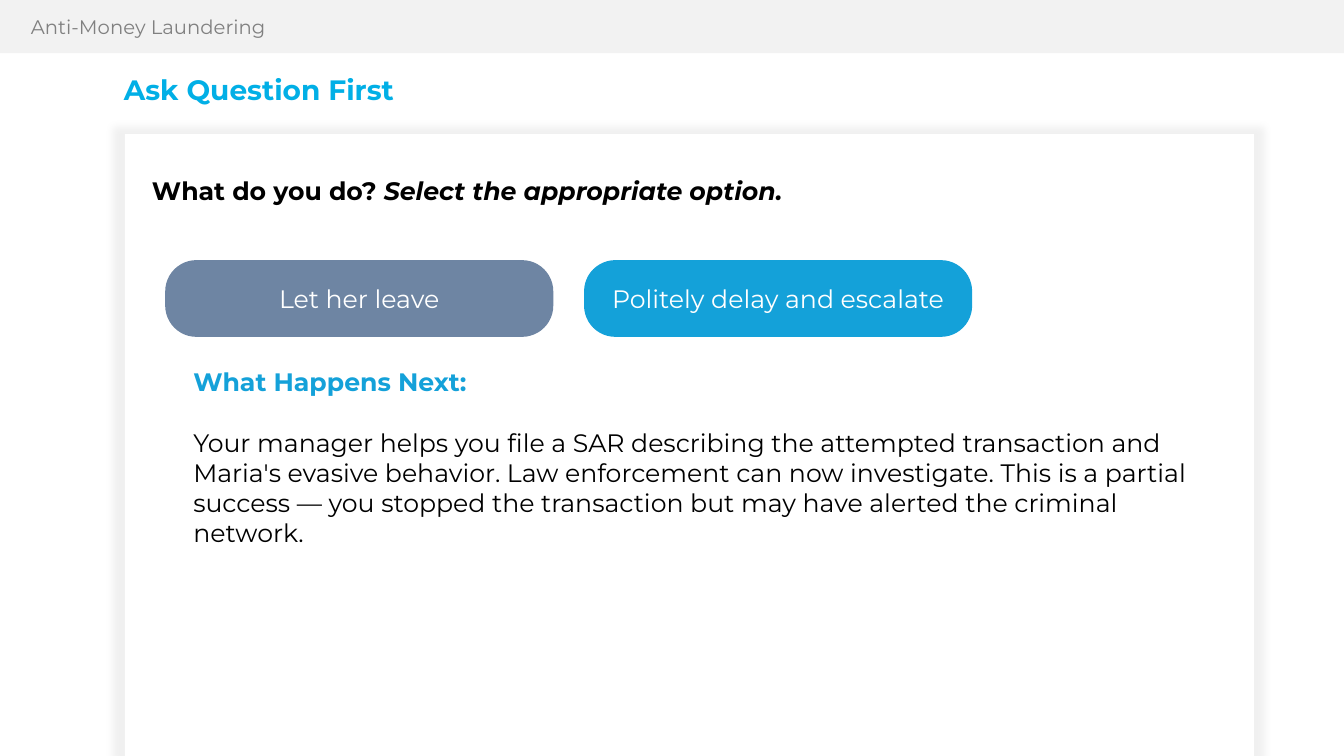
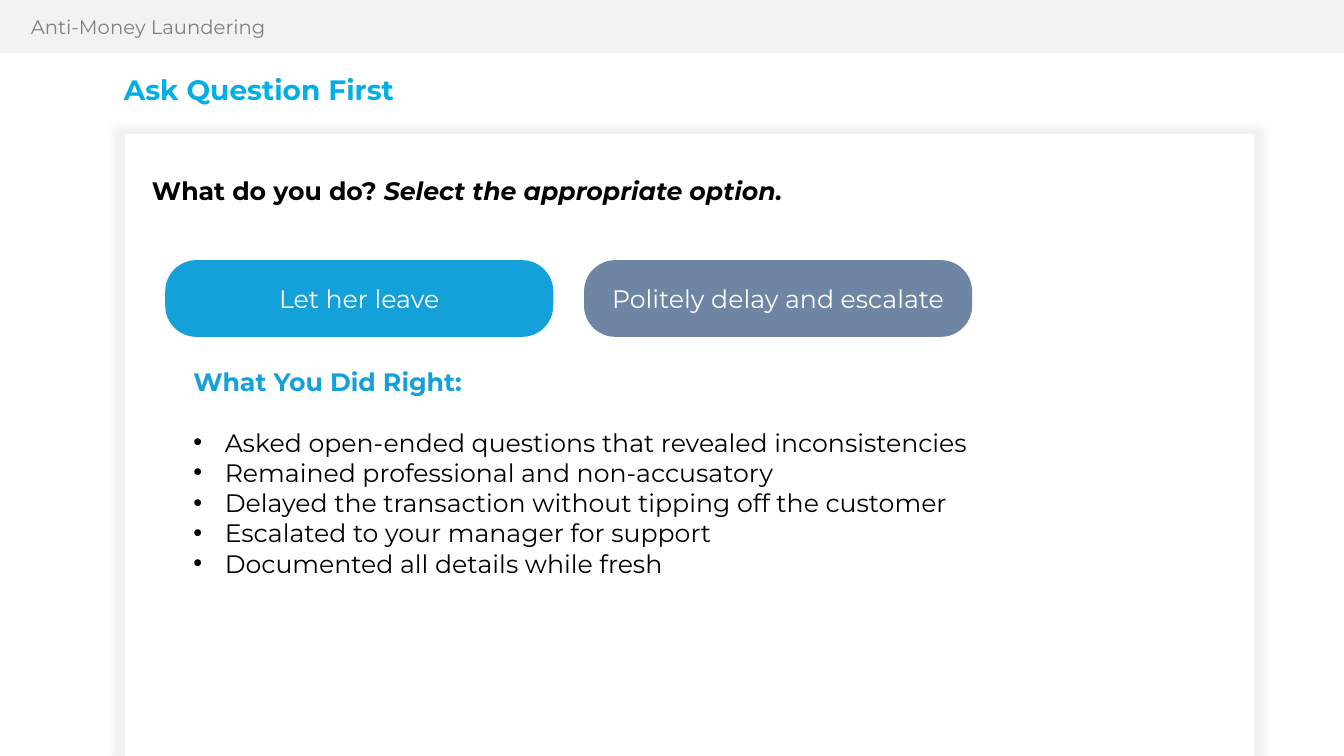
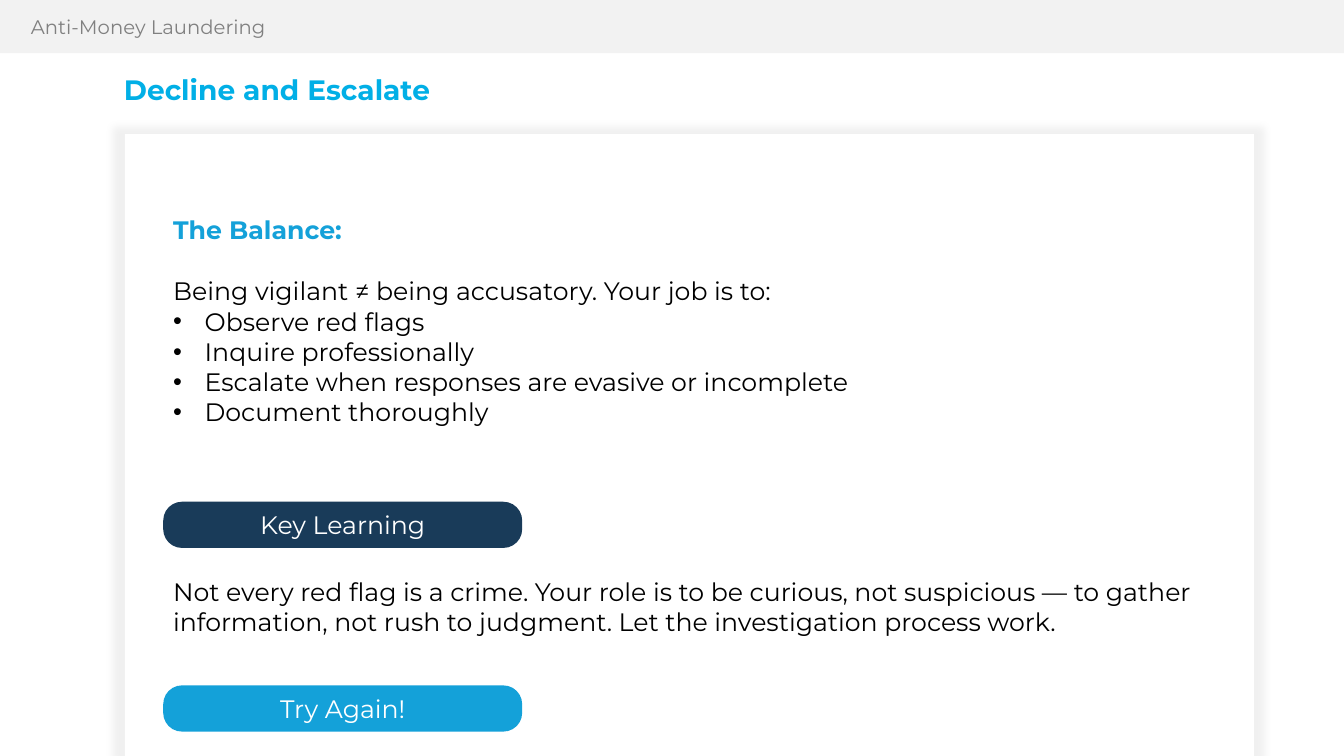
from lxml import etree
from pptx import Presentation
from pptx.dml.color import RGBColor
from pptx.enum import shapes, text
from pptx.oxml import ns
from pptx.util import Pt

# Shared style
FONT = "Montserrat"
BODY_SIZE = 18
BAND_GRAY = RGBColor(0xF2, 0xF2, 0xF2)
HEADER_GRAY = RGBColor(0x80, 0x80, 0x80)
TITLE_BLUE = RGBColor(0x01, 0xAF, 0xE6)
BLUE = RGBColor(0x14, 0xA1, 0xD9)
SLATE = RGBColor(0x6E, 0x85, 0xA3)
NAVY = RGBColor(0x19, 0x3B, 0x59)
BLACK = RGBColor(0, 0, 0)
WHITE = RGBColor(0xFF, 0xFF, 0xFF)

# Layout in points: left, top, width, height
SLIDE_WIDTH, SLIDE_HEIGHT = 960, 540
BAND = (0, 0, SLIDE_WIDTH, 38)
HEADER = (15, 7.2, 632, 24.4)
CARD = (89.3, 95.8, 806.4, 444.2)
TITLE = (81.4, 51.1, 370, 33)
QUESTION = (101.5, 121.7, 750, 29)
OPTION_LEFT, OPTION_TOP = 118, 185.8
OPTION_WIDTH, OPTION_HEIGHT, OPTION_GAP = 277.2, 54.8, 22
FEEDBACK = (131, 257.8, 739.5, 160)
LESSON_LEFT, LESSON_WIDTH = 116.6, 769
PILL_WIDTH, PILL_HEIGHT = 256.4, 33
ROUNDING = 0.407
BULLET_INDENT = 22.5
HEADING_GAP = 22

# Content
HEADER_TEXT = "Anti-Money Laundering"
QUESTION_TEXT = ("What do you do? ", "Select the appropriate option.")
OPTIONS = ["Let her leave", "Politely delay and escalate"]
SCENARIOS = [
    {
        "title": "Ask Question First",
        "chosen": 0,
        "heading": "What Happens Next:",
        "intro": "Your manager helps you file a SAR describing the attempted "
                 "transaction and Maria's evasive behavior. Law enforcement can now "
                 "investigate. This is a partial success — you stopped the "
                 "transaction but may have alerted the criminal network.",
        "bullets": [],
    },
    {
        "title": "Ask Question First",
        "chosen": 1,
        "heading": "What You Did Right:",
        "intro": None,
        "bullets": [
            "Asked open-ended questions that revealed inconsistencies",
            "Remained professional and non-accusatory",
            "Delayed the transaction without tipping off the customer",
            "Escalated to your manager for support",
            "Documented all details while fresh",
        ],
    },
]
LESSON = {
    "title": "Decline and Escalate",
    "heading": "The Balance:",
    "intro": "Being vigilant ≠ being accusatory. Your job is to:",
    "bullets": [
        "Observe red flags",
        "Inquire professionally",
        "Escalate when responses are evasive or incomplete",
        "Document thoroughly",
    ],
    "pills": [("Key Learning", NAVY, 358.4), ("Try Again!", BLUE, 489.6)],
    "takeaway": "Not every red flag is a crime. Your role is to be curious, not "
                "suspicious — to gather information, not rush to judgment. Let the "
                "investigation process work.",
}


def style(paragraph, color, size=BODY_SIZE, bold=False):
    for run in paragraph.runs:
        run.font.name = FONT
        run.font.size = Pt(size)
        run.font.bold = bold
        run.font.color.rgb = color


def add_box(slide, box, kind, fill):
    shape = slide.shapes.add_shape(kind, *map(Pt, box))
    shape.shadow.inherit = False
    shape.fill.solid()
    shape.fill.fore_color.rgb = fill
    shape.line.fill.background()
    return shape


def add_text(slide, box, content, color, **font):
    frame = slide.shapes.add_textbox(*map(Pt, box)).text_frame
    frame.word_wrap = True
    frame.text = content
    style(frame.paragraphs[0], color, **font)
    return frame


def add_pill(slide, box, label, fill):
    shape = add_box(slide, box, shapes.MSO_SHAPE.ROUNDED_RECTANGLE, fill)
    shape.adjustments[0] = ROUNDING
    frame = shape.text_frame
    frame.word_wrap = True
    frame.vertical_anchor = text.MSO_ANCHOR.MIDDLE
    frame.text = label
    frame.paragraphs[0].alignment = text.PP_ALIGN.CENTER
    style(frame.paragraphs[0], WHITE)


def add_glow_shadow(shape):
    """Faint shadow spreading evenly past every edge."""
    effects = shape.element.spPr.find(ns.qn("a:effectLst"))
    shadow = etree.SubElement(effects, ns.qn("a:outerShdw"), blurRad=str(Pt(5)),
                              sx="102000", sy="102000", algn="ctr", rotWithShape="0")
    color = etree.SubElement(shadow, ns.qn("a:srgbClr"), val=str(BLACK))
    etree.SubElement(color, ns.qn("a:alpha"), val="5000")


def add_bullet(paragraph):
    properties = paragraph._p.get_or_add_pPr()
    properties.set("marL", str(Pt(BULLET_INDENT)))
    properties.set("indent", str(-Pt(BULLET_INDENT)))
    etree.SubElement(properties, ns.qn("a:buFont"), typeface="Arial")
    etree.SubElement(properties, ns.qn("a:buChar"), char="•")


def add_section(slide, box, section):
    """Blue heading, optional introduction, then bullets."""
    frame = add_text(slide, box, section["heading"], BLUE, bold=True)
    intro = [section["intro"]] if section["intro"] else []
    for index, line in enumerate(intro + section["bullets"]):
        paragraph = frame.add_paragraph()
        paragraph.text = line
        style(paragraph, BLACK)
        if index == 0:
            paragraph.space_before = Pt(HEADING_GAP)
        if index >= len(intro):
            add_bullet(paragraph)


def add_base_slide(presentation, title):
    """Header band, white card and title shared by all slides."""
    slide = presentation.slides.add_slide(presentation.slide_layouts[6])
    add_box(slide, BAND, shapes.MSO_SHAPE.RECTANGLE, BAND_GRAY)
    add_text(slide, HEADER, HEADER_TEXT, HEADER_GRAY, size=14)
    add_glow_shadow(add_box(slide, CARD, shapes.MSO_SHAPE.RECTANGLE, WHITE))
    frame = add_text(slide, TITLE, title, TITLE_BLUE, size=20, bold=True)
    frame.paragraphs[0].line_spacing = 0.9
    return slide


def add_scenario(presentation, scenario):
    slide = add_base_slide(presentation, scenario["title"])

    # Question with italic instruction
    prompt, instruction = QUESTION_TEXT
    paragraph = add_text(slide, QUESTION, prompt, BLACK).paragraphs[0]
    run = paragraph.add_run()
    run.text = instruction
    run.font.italic = True
    style(paragraph, BLACK, bold=True)

    # Answer options, the chosen one muted
    for index, label in enumerate(OPTIONS):
        left = OPTION_LEFT + index * (OPTION_WIDTH + OPTION_GAP)
        fill = SLATE if index == scenario["chosen"] else BLUE
        add_pill(slide, (left, OPTION_TOP, OPTION_WIDTH, OPTION_HEIGHT), label, fill)

    add_section(slide, FEEDBACK, scenario)


def add_lesson(presentation, lesson):
    slide = add_base_slide(presentation, lesson["title"])
    add_section(slide, (LESSON_LEFT, 149.8, LESSON_WIDTH, 160), lesson)
    for label, fill, top in lesson["pills"]:
        add_pill(slide, (LESSON_LEFT, top, PILL_WIDTH, PILL_HEIGHT), label, fill)
    add_text(slide, (LESSON_LEFT, 408.2, LESSON_WIDTH, 51), lesson["takeaway"], BLACK)


def main():
    presentation = Presentation()
    presentation.slide_width = Pt(SLIDE_WIDTH)
    presentation.slide_height = Pt(SLIDE_HEIGHT)
    for scenario in SCENARIOS:
        add_scenario(presentation, scenario)
    add_lesson(presentation, LESSON)
    presentation.save("out.pptx")


if __name__ == "__main__":
    main()
